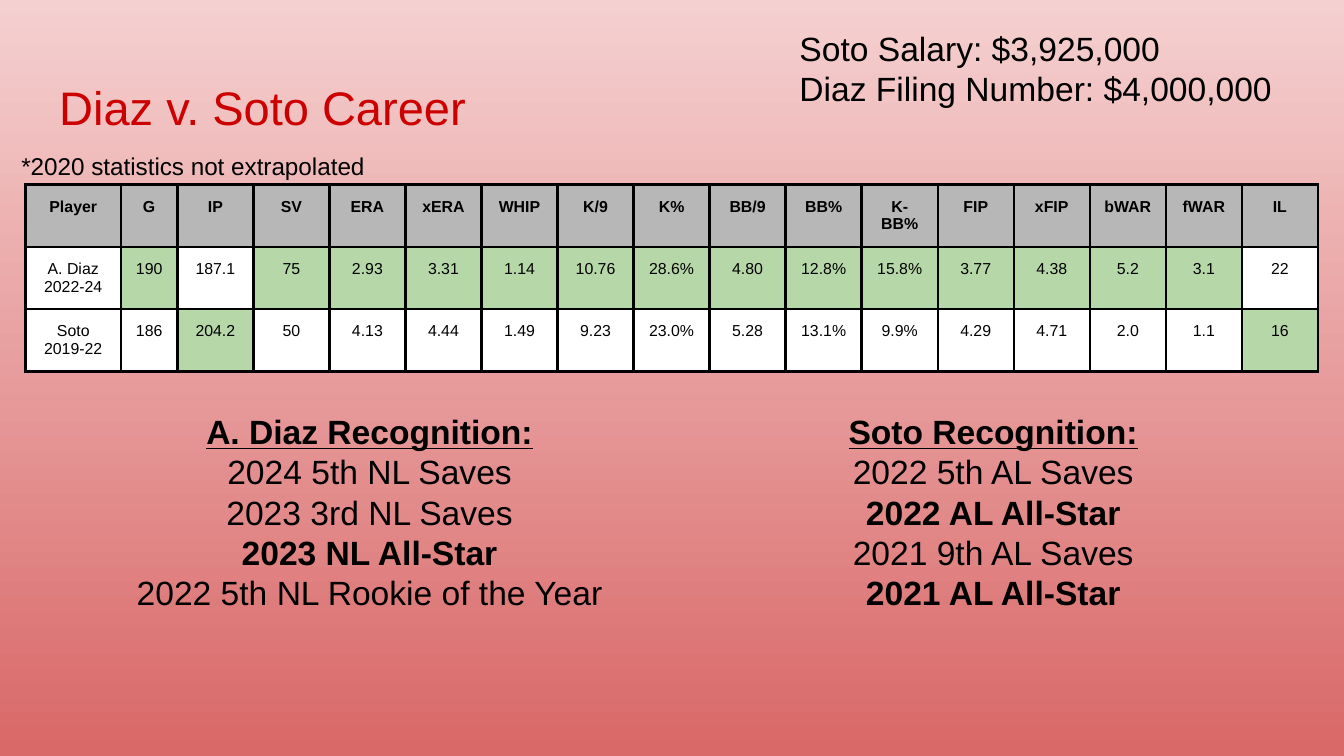
from lxml.etree import SubElement as Sub
from pptx import Presentation
from pptx.dml.color import RGBColor as Rgb
from pptx.enum.text import MSO_ANCHOR as Anchor, MSO_AUTO_SIZE as Auto, PP_ALIGN as Align
from pptx.oxml.ns import qn
from pptx.util import Inches, Pt

WIDE = 10
HIGH = WIDE * 9 / 16
FONT = "Arial"
BLACK, RED, GRAY, GREEN, WHITE = "000000", "CC0000", "B7B7B7", "B6D7A8", "FFFFFF"
HEADS = ["Player", "G", "IP", "SV", "ERA", "xERA", "WHIP", "K/9", "K%", "BB/9",
         "BB%", "K-\nBB%", "FIP", "xFIP", "bWAR", "fWAR", "IL"]
DIAZ = ["A. Diaz\n2022-24", "190", "187.1", "75", "2.93", "3.31", "1.14", "10.76", "28.6%",
        "4.80", "12.8%", "15.8%", "3.77", "4.38", "5.2", "3.1", "22"]
SOTO = ["Soto\n2019-22", "186", "204.2", "50", "4.13", "4.44", "1.49", "9.23", "23.0%",
        "5.28", "13.1%", "9.9%", "4.29", "4.71", "2.0", "1.1", "16"]
SOTO_LEADS = {"IP", "IL"}


def tint(code):
    return Rgb.from_string(code)


def across(share):
    return Inches(WIDE * share / 100)


def down(share):
    return Inches(HIGH * share / 100)


def paint(slide, top, base):
    fill = slide.background.fill
    fill.gradient()
    fill.gradient_angle = 270
    for stop, code, spot in zip(fill.gradient_stops, (top, base), (0, 1)):
        stop.color.rgb = tint(code)
        stop.position = spot


def place(shape, left, top, width, height):
    shape.left, shape.top = across(left), down(top)
    shape.width, shape.height = across(width), down(height)


def pad(item):
    item.margin_left = item.margin_right = Inches(0.1)
    item.margin_top = item.margin_bottom = Inches(0.1)


def write(frame, lines, size, color=BLACK, align=Align.LEFT, bold=(), under=()):
    for row, line in enumerate(lines):
        para = frame.paragraphs[0] if row == 0 else frame.add_paragraph()
        para.alignment = align
        run = para.add_run()
        run.text = line
        font = run.font
        font.name, font.size = FONT, Pt(size)
        font.color.rgb = tint(color)
        font.bold = row in bold
        font.underline = row in under


def setup(frame):
    frame.word_wrap = True
    frame.auto_size = Auto.NONE
    frame.vertical_anchor = Anchor.TOP
    pad(frame)


def add_note(slide, lines, size, spot):
    box = slide.shapes.add_textbox(0, 0, 0, 0)
    place(box, *spot)
    setup(box.text_frame)
    write(box.text_frame, lines, size)


def fill_title(slide, text, spot):
    title = slide.shapes.title
    place(title, *spot)
    setup(title.text_frame)
    write(title.text_frame, [text], 25.2, RED)


def fill_list(holder, lines, stars, spot):
    place(holder, *spot)
    frame = holder.text_frame
    setup(frame)
    write(frame, lines, 18, align=Align.CENTER, bold={0, *stars}, under={0})
    for para in frame.paragraphs:
        props = para._p.get_or_add_pPr()
        props.set("marL", "0")
        props.set("indent", "0")
        Sub(props, qn("a:buNone"))
        para.space_before = Pt(0)


def edge(cell):
    props = cell._tc.get_or_add_tcPr()
    for side in ("lnL", "lnR", "lnT", "lnB"):
        line = Sub(props, qn(f"a:{side}"), w=str(Pt(1.5)))
        Sub(Sub(line, qn("a:solidFill")), qn("a:srgbClr"), val=BLACK)


def shade(row, col):
    if row == 0:
        return GRAY
    lead = 2 if HEADS[col] in SOTO_LEADS else 1
    return GREEN if col > 0 and row == lead else WHITE


def add_stats(slide, rows, spot):
    frame = slide.shapes.add_table(len(rows), len(HEADS), 0, 0, 0, 0)
    place(frame, *spot)
    table = frame.table
    table.horz_banding = False
    first = [7.1, 4.2]
    rest = len(HEADS) - len(first)
    step = (spot[2] - sum(first)) / rest
    for col, width in zip(table.columns, first + [step] * rest):
        col.width = across(width)
    for r, values in enumerate(rows):
        table.rows[r].height = down(spot[3] / len(rows))
        for c, value in enumerate(values):
            cell = table.cell(r, c)
            pad(cell)
            edge(cell)
            cell.fill.solid()
            cell.fill.fore_color.rgb = tint(shade(r, c))
            lines = value.split("\n")
            bold = range(len(lines)) if r == 0 else ()
            write(cell.text_frame, lines, 8.5, align=Align.CENTER, bold=bold)


def main():
    deck = Presentation()
    deck.slide_width, deck.slide_height = Inches(WIDE), Inches(HIGH)
    slide = deck.slides.add_slide(deck.slide_layouts[3])
    paint(slide, "F5D0D0", "D96868")
    fill_title(slide, "Diaz v. Soto Career", (3.4, 8.65, 93.2, 11.2))
    add_stats(slide, [HEADS, DIAZ, SOTO], (1.9, 24.4, 96.2, 22.4))
    fill_list(slide.placeholders[1],
              ["A. Diaz Recognition:", "2024 5th NL Saves", "2023 3rd NL Saves",
               "2023 NL All-Star", "2022 5th NL Rookie of the Year"],
              {3}, (7.8, 52.6, 39.4, 37.5))
    fill_list(slide.placeholders[2],
              ["Soto Recognition:", "2022 5th AL Saves", "2022 AL All-Star",
               "2021 9th AL Saves", "2021 AL All-Star"],
              {2, 4}, (59.8, 52.6, 28.2, 23.1))
    add_note(slide, ["*2020 statistics not extrapolated"], 13, (0.6, 18.2, 31.5, 6.2))
    add_note(slide, ["Soto Salary: $3,925,000", "Diaz Filing Number: $4,000,000"],
             18, (58.5, 1.9, 39.9, 10))
    deck.save("out.pptx")


if __name__ == "__main__":
    main()
